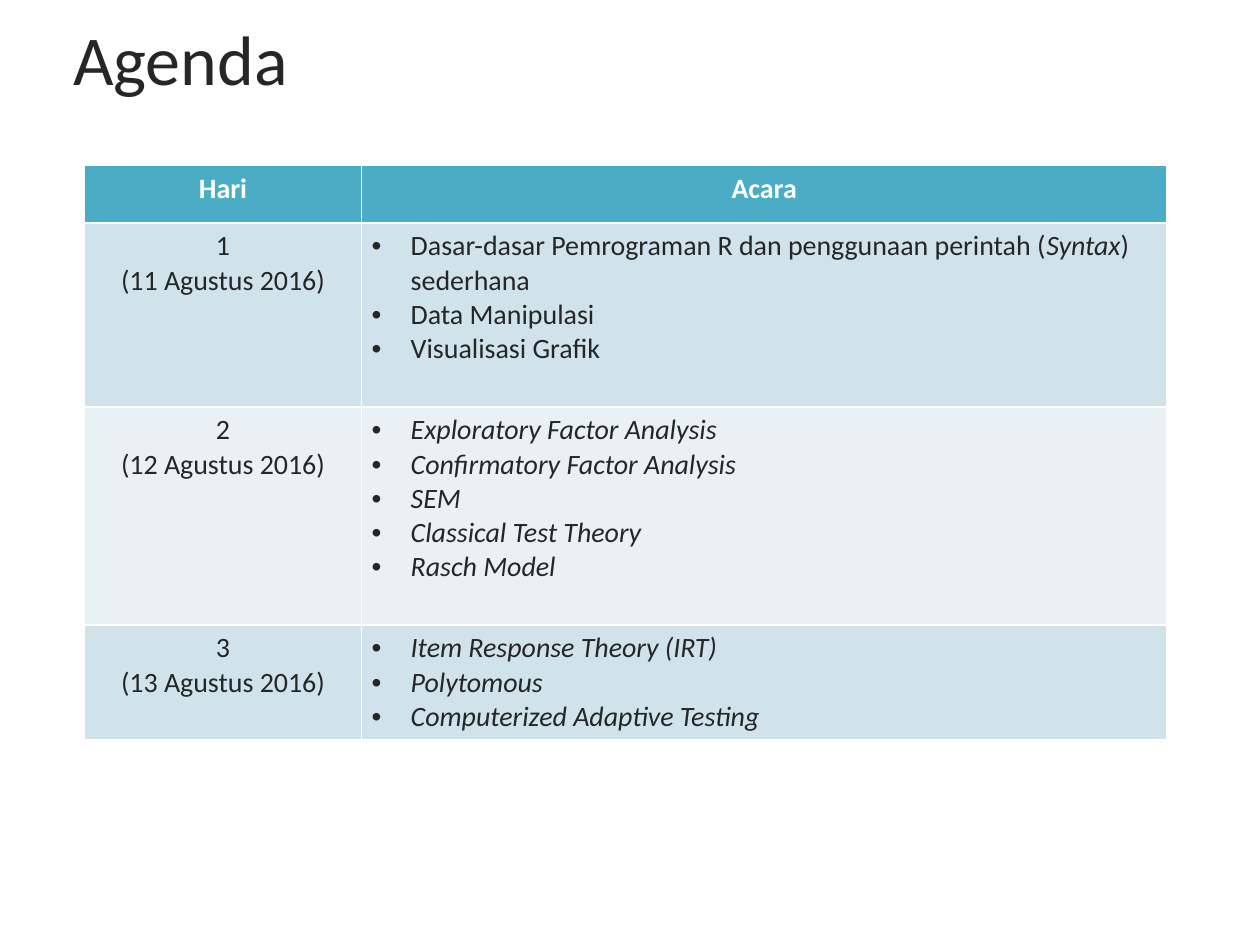
from lxml import etree
from pptx import Presentation
from pptx.dml.color import RGBColor
from pptx.enum.text import MSO_ANCHOR, PP_ALIGN
from pptx.oxml.ns import qn
from pptx.util import Inches, Pt

LEFT, CENTER = PP_ALIGN.LEFT, PP_ALIGN.CENTER
MIDDLE = MSO_ANCHOR.MIDDLE
TITLE_ONLY = 5

FONT = "Calibri"
COLORS = {
    "text": "262626",
    "header_text": "FFFFFF",
    "header": "4BACC6",
    "band_dark": "D0E3EA",
    "band_light": "E9F1F5",
}
COL_WIDTHS = [2.2, 6.39]
ROW_HEIGHTS = [0.46, 1.46, 1.73, 0.91]
INDENT = 0.31

# Asterisks enclose italic words
HEADERS = ["Hari", "Acara"]
DAYS = [
    (["1", "(11 Agustus 2016)"],
     ["Dasar-dasar Pemrograman R dan penggunaan perintah (*Syntax*) sederhana",
      "Data Manipulasi", "Visualisasi Grafik"]),
    (["2", "(12 Agustus 2016)"],
     ["*Exploratory Factor Analysis*", "*Confirmatory Factor Analysis*",
      "*SEM*", "*Classical Test Theory*", "*Rasch Model*"]),
    (["3", "(13 Agustus 2016)"],
     ["*Item Response Theory (IRT)*", "*Polytomous*",
      "*Computerized Adaptive Testing*"]),
]


def rgb(name):
    return RGBColor.from_string(COLORS[name])


def style_run(r, size, color="text", bold=False, italic=False):
    r.font.name = FONT
    r.font.size = Pt(size)
    r.font.bold = bold
    r.font.italic = italic
    r.font.color.rgb = rgb(color)


def add_bullet(p):
    pPr = p._p.get_or_add_pPr()
    pPr.set("marL", str(Inches(INDENT)))
    pPr.set("indent", str(-Inches(INDENT)))
    etree.SubElement(pPr, qn("a:buFont")).set("typeface", "Arial")
    etree.SubElement(pPr, qn("a:buChar")).set("char", "•")


def fill_cell(cell, lines, fill, color="text", bold=False, bullets=False):
    cell.fill.solid()
    cell.fill.fore_color.rgb = rgb(fill)
    cell.margin_left = cell.margin_right = Inches(0.08)
    cell.margin_top = cell.margin_bottom = Inches(0.05)
    tf = cell.text_frame
    for i, line in enumerate(lines):
        p = tf.add_paragraph() if i else tf.paragraphs[0]
        p.alignment = LEFT if bullets else CENTER
        if bullets:
            add_bullet(p)
        for j, part in enumerate(line.split("*")):
            if part:
                r = p.add_run()
                r.text = part
                style_run(r, 16, color, bold, italic=j % 2 == 1)


def add_title(s, text):
    sp = s.shapes.title
    sp.left, sp.top = Inches(0.48), Inches(0.08)
    sp.width, sp.height = Inches(9.19), Inches(0.75)
    tf = sp.text_frame
    tf.text = text
    tf.vertical_anchor = MIDDLE
    p = tf.paragraphs[0]
    p.alignment = LEFT
    style_run(p.runs[0], 40)


def add_agenda(s):
    table = s.shapes.add_table(
        len(ROW_HEIGHTS), len(COL_WIDTHS), Inches(0.67), Inches(1.31),
        Inches(sum(COL_WIDTHS)), Inches(sum(ROW_HEIGHTS))).table
    for col, width in zip(table.columns, COL_WIDTHS):
        col.width = Inches(width)
    for row, height in zip(table.rows, ROW_HEIGHTS):
        row.height = Inches(height)

    # Header row
    for c, text in enumerate(HEADERS):
        fill_cell(table.cell(0, c), [text], "header", "header_text", bold=True)

    # One banded row per day
    for i, (day, topics) in enumerate(DAYS):
        band = "band_light" if i % 2 else "band_dark"
        fill_cell(table.cell(i + 1, 0), day, band)
        fill_cell(table.cell(i + 1, 1), topics, band, bullets=True)


def main():
    prs = Presentation()
    prs.slide_width, prs.slide_height = Inches(10), Inches(7.5)
    s = prs.slides.add_slide(prs.slide_layouts[TITLE_ONLY])
    add_title(s, "Agenda")
    add_agenda(s)
    prs.save("out.pptx")


if __name__ == "__main__":
    main()
